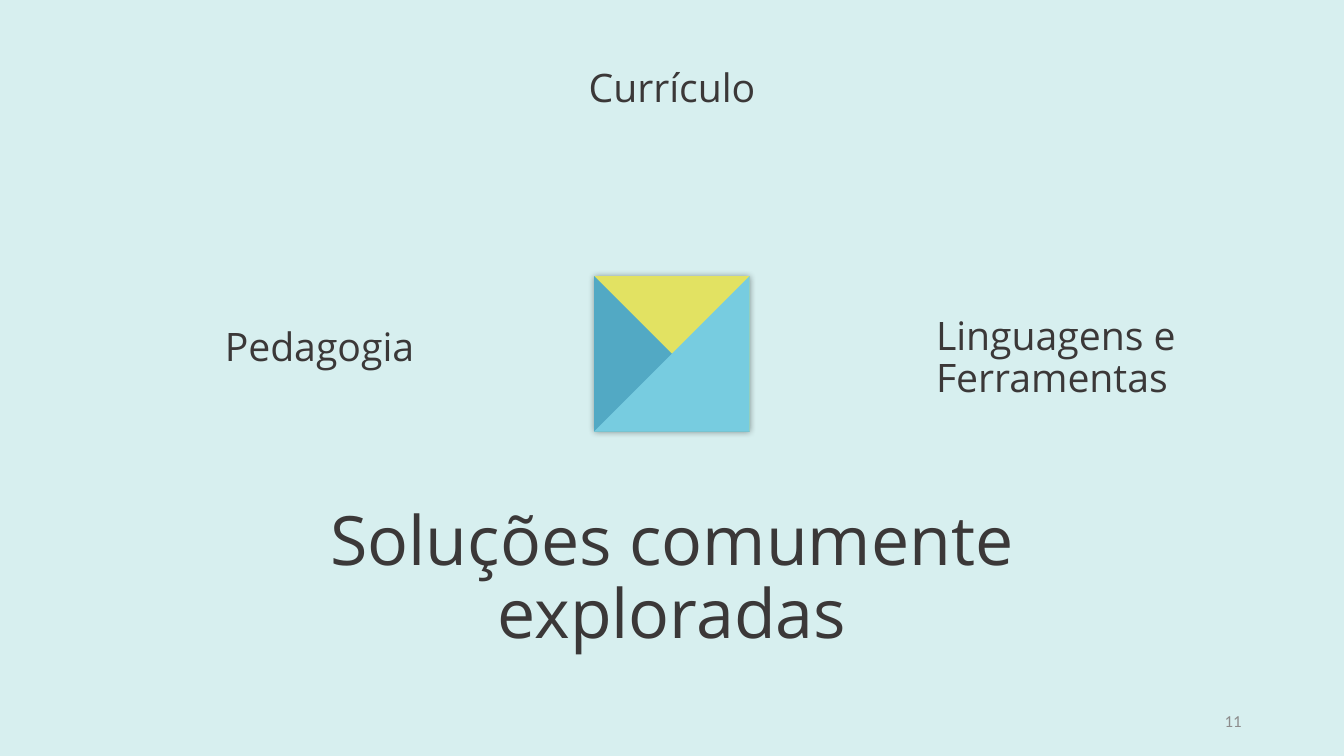
from dataclasses import dataclass

from lxml import etree
from pptx import Presentation
from pptx import util as u
from pptx.dml.color import RGBColor
from pptx.enum import shapes, text
from pptx.oxml.ns import qn

EMU_PER_PX = 9525
TITLE_ONLY = 5
SHAPE = shapes.MSO_SHAPE
ALIGN = text.PP_ALIGN


@dataclass(frozen=True)
class Theme:
    background: str = "D7EFEF"
    ink: str = "3B3838"
    muted: str = "8C8C8C"
    yellow: str = "E2E262"
    dark_blue: str = "52A9C4"
    light_blue: str = "77CCE0"
    shadow: str = "000000"
    font: str = "Open Sans"
    number_font: str = "Calibri"
    title_size: float = 48.6
    label_size: float = 28
    number_size: float = 12


def px(*lengths):
    return [u.Emu(length * EMU_PER_PX) for length in lengths]


class SlideBuilder:
    def __init__(self, presentation, theme):
        self.theme = theme
        self.slide = presentation.slides.add_slide(presentation.slide_layouts[TITLE_ONLY])
        fill = self.slide.background.fill
        fill.solid()
        fill.fore_color.rgb = RGBColor.from_string(theme.background)

    def set_text(self, shape, words, align, size, color=None, font=None, spacing=0.9):
        frame = shape.text_frame
        frame.word_wrap = True
        frame.auto_size = text.MSO_AUTO_SIZE.NONE
        frame.vertical_anchor = text.MSO_ANCHOR.MIDDLE
        paragraph = frame.paragraphs[0]
        paragraph.alignment = align
        paragraph.line_spacing = spacing
        run = paragraph.add_run()
        run.text = words
        run.font.size = u.Pt(size)
        run.font.name = font or self.theme.font
        run.font.color.rgb = RGBColor.from_string(color or self.theme.ink)

    def title(self, words, box):
        shape = self.slide.shapes.title
        shape.left, shape.top, shape.width, shape.height = px(*box)
        self.set_text(shape, words, ALIGN.CENTER, self.theme.title_size)

    def label(self, words, box, align):
        shape = self.slide.shapes.add_textbox(*px(*box))
        self.set_text(shape, words, align, self.theme.label_size)

    def page_number(self, number, box):
        shape = self.slide.shapes.add_textbox(*px(*box))
        self.set_text(shape, str(number), ALIGN.RIGHT, self.theme.number_size,
                      self.theme.muted, self.theme.number_font, spacing=1.0)

    def block(self, kind, box, color, mirrored=False):
        shape = self.slide.shapes.add_shape(kind, *px(*box))
        shape.shadow.inherit = False
        shape.fill.solid()
        shape.fill.fore_color.rgb = RGBColor.from_string(color)
        shape.line.fill.background()
        if mirrored:
            shape.element.spPr.find(qn("a:xfrm")).set("flipH", "1")
        return shape

    def glow_shadow(self, shape, blur=5, opacity=40):
        """Give the shape a soft shadow that spreads evenly on all sides."""
        effects = shape.element.spPr.find(qn("a:effectLst"))
        shadow = etree.SubElement(effects, qn("a:outerShdw"), blurRad=str(u.Pt(blur)),
                                  dist="0", dir="0", algn="ctr", rotWithShape="0")
        color = etree.SubElement(shadow, qn("a:srgbClr"), val=self.theme.shadow)
        etree.SubElement(color, qn("a:alpha"), val=str(opacity * 1000))


def main():
    presentation = Presentation()
    presentation.slide_width, presentation.slide_height = px(1280, 720)
    theme = Theme()
    builder = SlideBuilder(presentation, theme)

    emblem = (566, 263, 148, 148)
    square = builder.block(SHAPE.RECTANGLE, emblem, theme.yellow)
    builder.glow_shadow(square)
    builder.block(SHAPE.RIGHT_TRIANGLE, emblem, theme.dark_blue)
    builder.block(SHAPE.RIGHT_TRIANGLE, emblem, theme.light_blue, mirrored=True)

    builder.title("Soluções comumente exploradas", (286, 483, 708, 139))
    for words, box, align in (
        ("Pedagogia", (52, 263, 352, 139), ALIGN.RIGHT),
        ("Linguagens e Ferramentas", (882, 272, 352, 139), ALIGN.LEFT),
        ("Currículo", (464, 49, 352, 74), ALIGN.CENTER),
    ):
        builder.label(words, box, align)
    builder.page_number(11, (904, 667, 288, 38))

    presentation.save("out.pptx")


if __name__ == "__main__":
    main()
